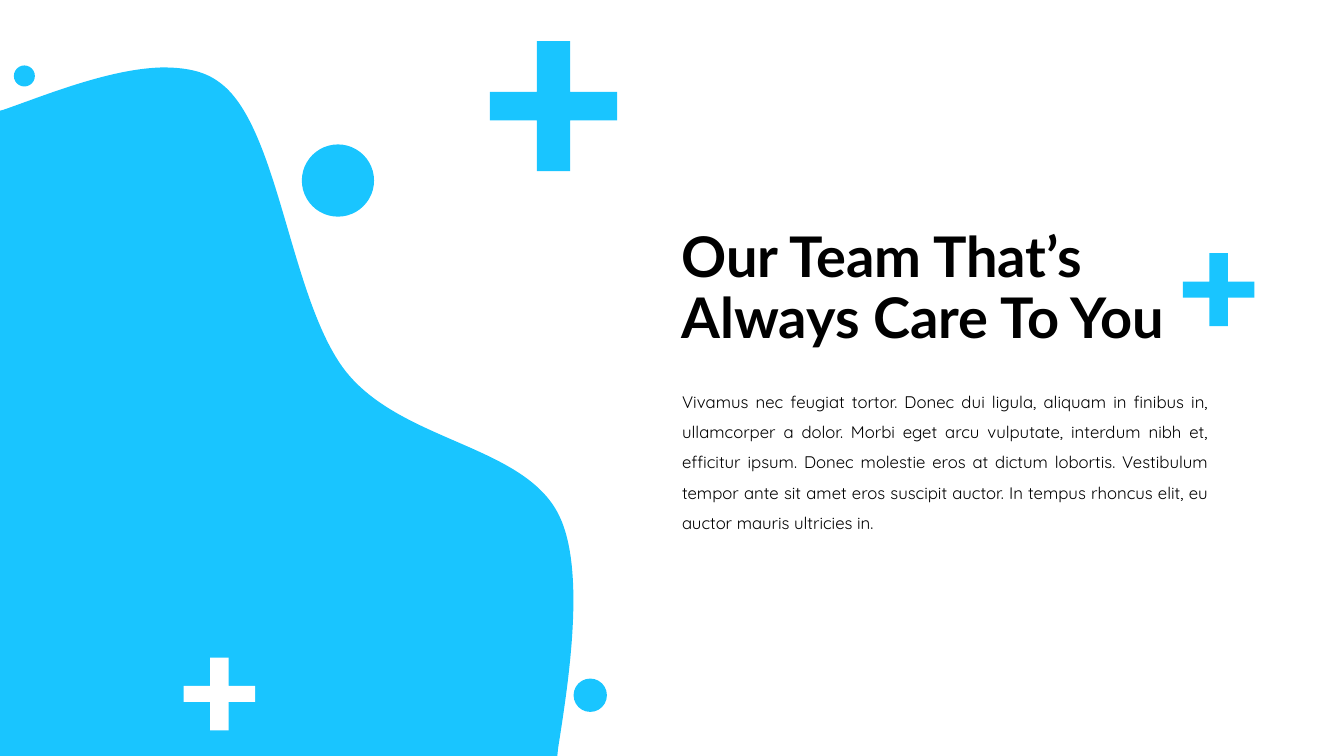
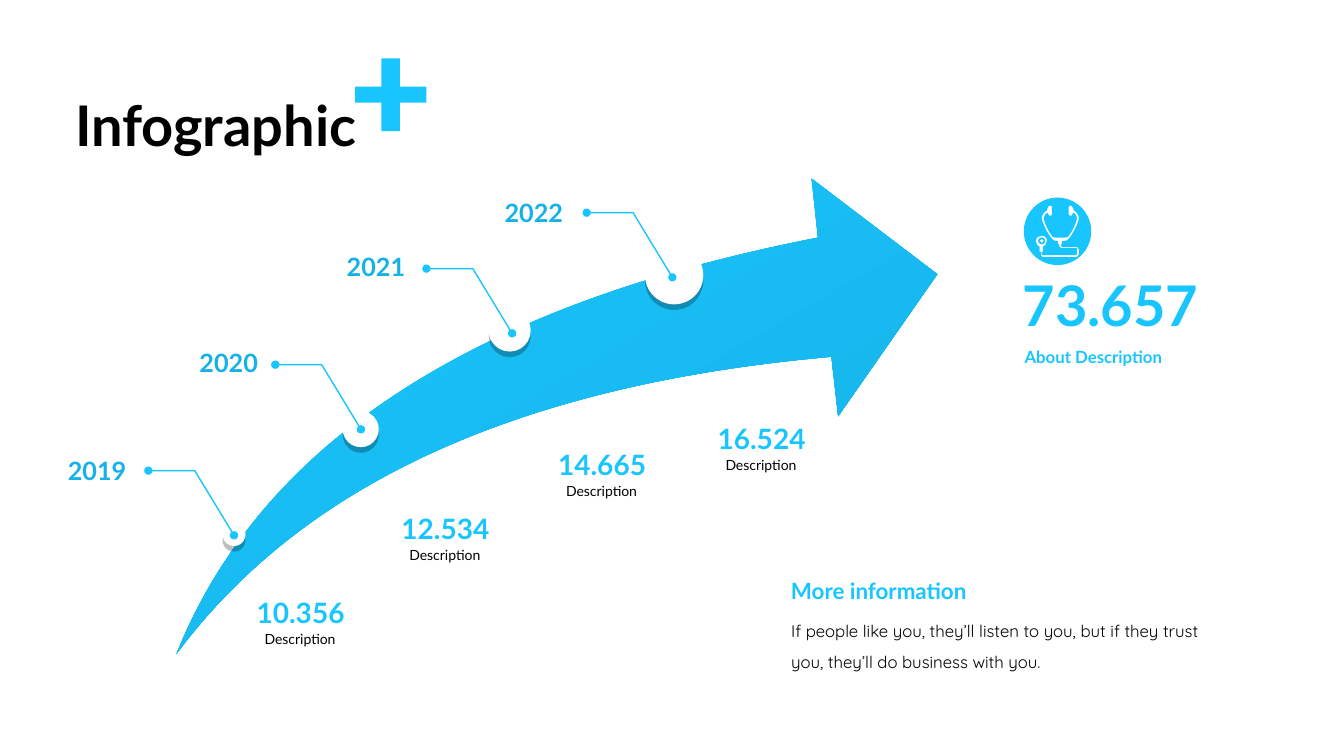
import pptx
import pptx.dml.color
import pptx.enum.shapes
import pptx.enum.text
import pptx.oxml.ns
import pptx.util
import lxml.etree

Cm, Pt = pptx.util.Cm, pptx.util.Pt
KIND = pptx.enum.shapes.MSO_SHAPE
ALIGN = pptx.enum.text.PP_ALIGN
ANCHOR = pptx.enum.text.MSO_ANCHOR
FIT = pptx.enum.text.MSO_AUTO_SIZE
qn = pptx.oxml.ns.qn
sub = lxml.etree.SubElement

# Shared look
SKY, DEEP, BLACK, WHITE = "19C5FF", "16B1E5", "000000", "FFFFFF"
HEAD = dict(name="Lato", size=Pt(40), bold=True)
TEXT = dict(name="Quicksand", size=Pt(12), bold=False)
YEAR = dict(name="Lato", size=Pt(18), bold=True)
VALUE = dict(name="Lato", size=Pt(20), bold=True)
NOTE = dict(name="Lato", size=Pt(10), bold=False)
LEAD = dict(name="Lato", size=Pt(16), bold=True)
TAG = dict(name="Lato", size=Pt(12), bold=True)

# Content: boxes are (left, top, width, height) in centimetres
TEAM = dict(
    title="Our Team That\u2019s Always Care To You",
    title_box=(16.93, 5.46, 14.6, 3.68),
    body="Vivamus nec feugiat tortor. Donec dui ligula, aliquam in finibus in, "
         "ullamcorper a dolor. Morbi eget arcu vulputate, interdum nibh et, "
         "efficitur ipsum. Donec molestie eros at dictum lobortis. Vestibulum "
         "tempor ante sit amet eros suscipit auctor. In tempus rhoncus elit, eu "
         "auctor mauris ultricies in.",
    body_box=(16.94, 9.49, 13.78, 4.06),
    align=ALIGN.JUSTIFY)
GROWTH = dict(
    title="Infographic",
    title_box=(1.64, 1.4, 12.93, 3.68),
    body="If people like you, they\u2019ll listen to you, but if they trust you, "
         "they\u2019ll do business with you.",
    body_box=(19.69, 15.27, 11.53, 1.78),
    align=ALIGN.LEFT)
# year, year label, leader start, marker (left, top, size), value, value place
STAGES = [
    ("2019", (1.46, 11.35), (3.74, 11.86), (5.61, 13.18, 0.58), "10.356", (6.22, 14.88)),
    ("2020", (4.78, 8.62), (6.94, 9.19), (8.64, 10.36, 0.91), "12.534", (9.87, 12.76)),
    ("2021", (8.49, 6.2), (10.75, 6.77), (12.32, 7.8, 1.06), "14.665", (13.82, 11.16)),
    ("2022", (12.47, 4.86), (14.79, 5.36), (16.26, 6.2, 1.47), "16.524", (17.84, 10.49)),
]
FACTS = [
    ("73.657", (25.53, 6.7, 4.93, 1.96), HEAD),
    ("About Description", (25.58, 8.62, 5.13, 0.76), TAG),
    ("More information", (19.69, 14.41, 7.59, 0.94), LEAD),
]
DOTS = [(7.61, 3.64, 1.82), (14.46, 17.1, 0.84), (0.35, 1.65, 0.53)]

# Outlines: a pair is a corner, six numbers are a cubic curve
BLOB = [
    (4.09, 1.7), (2.74, 1.73, 1.04, 2.44, 0.08, 2.77), (0, 2.79), (0, 19.05),
    (14.05, 19.05), (14.07, 18.85), (14.35, 17.09, 14.76, 14.38, 14.1, 13),
    (13.23, 11.2, 10.13, 11.15, 8.71, 9.35), (7.29, 7.52, 7.04, 3.12, 5.51, 2.06),
    (5.13, 1.78, 4.65, 1.7, 4.09, 1.7)]
ARROW = [
    (4.45, 16.48), (6.58, 11.15, 11.96, 7.67, 20.62, 5.99), (20.46, 4.5),
    (23.63, 6.91), (21.13, 10.49), (20.96, 8.99),
    (13.13, 9.68, 7.65, 12.17, 4.45, 16.48)]
# Stethoscope: chest piece with hose, left half of the yoke, end of the hose
HOSE = [
    (27.2, 6.4), (27.2, 6.45, 27.15, 6.48, 27.13, 6.48), (26.31, 6.48),
    (26.26, 6.48, 26.24, 6.45, 26.24, 6.4), (26.24, 6.35), (26.21, 6.35), (26.21, 6.22),
    (26.16, 6.2, 26.11, 6.15, 26.11, 6.07), (26.11, 5.99, 26.19, 5.94, 26.26, 5.94),
    (26.34, 5.94, 26.39, 5.99, 26.39, 6.07), (26.39, 6.15, 26.34, 6.2, 26.29, 6.22),
    (26.29, 6.35), (26.26, 6.35), (26.26, 6.4), (26.26, 6.43, 26.29, 6.43, 26.31, 6.43),
    (27.13, 6.43), (27.15, 6.43, 27.15, 6.43, 27.15, 6.4), (27.15, 6.3),
    (27.15, 6.27, 27.15, 6.25, 27.13, 6.25), (26.77, 6.25),
    (26.72, 6.25, 26.7, 6.22, 26.7, 6.17), (26.7, 6.17, 26.67, 6.15, 26.67, 6.12),
    (26.67, 6.07)]
YOKE = [
    (26.64, 6.07), (26.59, 6.07, 26.57, 6.07, 26.52, 6.02),
    (26.37, 5.84, 26.26, 5.56, 26.26, 5.49), (26.26, 5.41, 26.36, 5.31, 26.39, 5.31),
    (26.39, 5.26, 26.42, 5.23, 26.42, 5.23), (26.42, 5.21, 26.44, 5.18, 26.47, 5.18),
    (26.52, 5.18, 26.52, 5.21, 26.52, 5.23), (26.52, 5.38),
    (26.52, 5.41, 26.52, 5.44, 26.47, 5.44), (26.44, 5.44, 26.42, 5.41, 26.42, 5.38),
    (26.39, 5.36), (26.37, 5.38, 26.31, 5.44, 26.31, 5.49),
    (26.31, 5.56, 26.42, 5.84, 26.54, 5.97), (26.57, 5.99, 26.62, 5.99, 26.64, 5.99)]
TAIL = [
    (26.77, 6.07), (26.77, 6.12), (26.77, 6.15, 26.75, 6.17, 26.75, 6.17),
    (26.75, 6.2, 26.75, 6.22, 26.77, 6.22), (27.13, 6.22),
    (27.15, 6.22, 27.2, 6.25, 27.2, 6.3)]
RINGS = [(26.26, 6.07, 0.09), (26.26, 6.07, 0.05)]


# Helpers
def tint(code):
    return pptx.dml.color.RGBColor.from_string(code)


def apply(item, values):
    for key, value in values.items():
        setattr(item, key, value)


def place(item, box):
    apply(item, dict(zip(("left", "top", "width", "height"), map(Cm, box))))


def paint(shape, color):
    shape.shadow.inherit = False
    shape.fill.solid()
    shape.fill.fore_color.rgb = tint(color)
    shape.line.fill.background()
    return shape


def trace(steps, count=32):
    """Points along corners and cubic curves, for the bounds of an outline."""
    points = []
    for step in steps:
        if len(step) == 2:
            points.append(step)
            continue
        start = points[-1]
        for n in range(1, count + 1):
            t = n / count
            u = 1 - t
            points.append(tuple(
                u**3 * start[i] + 3 * u * u * t * step[i]
                + 3 * u * t * t * step[i + 2] + t**3 * step[i + 4] for i in (0, 1)))
    return [(Cm(x), Cm(y)) for x, y in points]


def outline(slide, *loops, close=True):
    """Draw loops as one freeform with true curves; the first sets its bounds."""
    first, *rest = trace(loops[0])
    form = slide.shapes.build_freeform(*first)
    form.add_line_segments(rest, close=close)
    shape = form.convert_to_shape()
    track = next(shape.element.iter(qn("a:path")))
    for part in list(track):
        track.remove(part)
    for loop in loops:
        for n, step in enumerate(loop):
            tag = "a:moveTo" if n == 0 else "a:lnTo" if len(step) == 2 else "a:cubicBezTo"
            part = sub(track, qn(tag))
            for x, y in zip(step[::2], step[1::2]):
                sub(part, qn("a:pt"), x=str(Cm(x) - shape.left), y=str(Cm(y) - shape.top))
        if close:
            sub(track, qn("a:close"))
    return shape


def ring(x, y, r):
    k = r * 0.5523
    return [(x + r, y), (x + r, y + k, x + k, y + r, x, y + r),
            (x - k, y + r, x - r, y + k, x - r, y),
            (x - r, y - k, x - k, y - r, x, y - r),
            (x + k, y - r, x + r, y - k, x + r, y)]


def mirror(steps, axis):
    """The same run reflected at a vertical axis and walked backwards."""
    turned = [steps[-1][-2:]]
    for n in range(len(steps) - 1, 0, -1):
        x, y = steps[n - 1][-2:]
        step = steps[n]
        turned.append((x, y) if len(step) == 2 else (*step[2:4], *step[:2], x, y))
    return [tuple(2 * axis - v if i % 2 == 0 else v for i, v in enumerate(step))
            for step in turned]


def dot(slide, x, y, size, color):
    return paint(slide.shapes.add_shape(KIND.OVAL, *map(Cm, (x, y, size, size))), color)


def plus(slide, x, y, wide, color):
    high = wide * 1.02
    xs = [x, x + wide * 0.37, x + wide * 0.63, x + wide]
    ys = [y, y + high * 0.39, y + high * 0.61, y + high]
    turns = [(1, 0), (2, 0), (2, 1), (3, 1), (3, 2), (2, 2),
             (2, 3), (1, 3), (1, 2), (0, 2), (0, 1), (1, 1)]
    paint(outline(slide, [(xs[i], ys[j]) for i, j in turns]), color)


def write(shape, text, font, color, align=ALIGN.LEFT, space=1.0, **frame):
    shape.text_frame.text = text
    apply(shape.text_frame, frame)
    line = shape.text_frame.paragraphs[0]
    apply(line, dict(alignment=align, line_spacing=space, space_before=Pt(0)))
    apply(line.runs[0].font, font)
    line.runs[0].font.color.rgb = tint(color)
    return line


def label(slide, text, box, font, color):
    write(slide.shapes.add_textbox(*map(Cm, box)), text, font, color,
          word_wrap=False, auto_size=FIT.SHAPE_TO_FIT_TEXT)


def page(deck, data):
    """Add a slide with its title and its plain body paragraph."""
    slide = deck.slides.add_slide(deck.slide_layouts[1])
    title, body = slide.shapes.title, slide.placeholders[1]
    place(title, data["title_box"])
    write(title, data["title"], HEAD, BLACK, space=0.9,
          vertical_anchor=ANCHOR.MIDDLE, auto_size=FIT.NONE)
    place(body, data["body_box"])
    line = write(body, data["body"], TEXT, BLACK, data["align"], 1.5, auto_size=FIT.NONE)
    props = line._p.get_or_add_pPr()
    for key in ("marL", "indent"):
        props.set(key, "0")
    sub(props, qn("a:buNone"))
    return slide


def drop(shape):
    """Give a marker its hard shadow straight below."""
    effects = shape.element.spPr.find(qn("a:effectLst"))
    shade = sub(effects, qn("a:outerShdw"), blurRad="0", dist=str(Pt(4)),
                dir="5400000", algn="t", rotWithShape="0")
    color = sub(shade, qn("a:srgbClr"), val=BLACK)
    sub(color, qn("a:alpha"), val="25000")


def leader(slide, x, y):
    bend = [(x + 2.16, y + 1.63), (x + 1.17, y), (x, y)]
    shape = outline(slide, bend, close=False)
    shape.shadow.inherit = False
    shape.fill.background()
    shape.line.color.rgb = tint(SKY)
    shape.line.width = Pt(1)
    edge = shape.element.spPr.find(qn("a:ln"))
    for end in ("a:headEnd", "a:tailEnd"):
        sub(edge, qn(end), type="oval")


deck = pptx.Presentation()
apply(deck, dict(slide_width=Cm(33.88), slide_height=Cm(19.05)))

# Slide 1: team
team = page(deck, TEAM)
paint(outline(team, BLOB), SKY)
for spot in DOTS:
    dot(team, *spot, SKY)
plus(team, 29.82, 6.38, 1.8, SKY)
plus(team, 4.63, 16.57, 1.8, WHITE)
plus(team, 12.35, 1.04, 3.21, SKY)

# Slide 2: growth arrow
growth = page(deck, GROWTH)
plus(growth, 8.95, 1.47, 1.8, SKY)
arrow = paint(outline(growth, ARROW), SKY)
arrow.fill.gradient()
arrow.fill.gradient_angle = 300
for stop, color in zip(arrow.fill.gradient_stops, (SKY, DEEP)):
    stop.color.rgb = tint(color)

# Years, markers and values along the arrow
for year, name, start, mark, value, (x, y) in STAGES:
    drop(dot(growth, *mark, WHITE))
    leader(growth, *start)
    label(growth, year, (*name, 1.98, 1.02), YEAR, DEEP)
    label(growth, value, (x, y, 2.72, 1.12), VALUE, SKY)
    label(growth, "Description", (x + 0.2, y + 0.88, 2.36, 0.69), NOTE, BLACK)
for text, box, font in FACTS:
    label(growth, text, box, font, SKY)

# Stethoscope cut out of a disc
scope = HOSE + YOKE + mirror(YOKE, 26.73) + TAIL
paint(outline(growth, ring(26.66, 5.83, 0.85), scope, *(ring(*r) for r in RINGS)), SKY)

deck.save("out.pptx")
